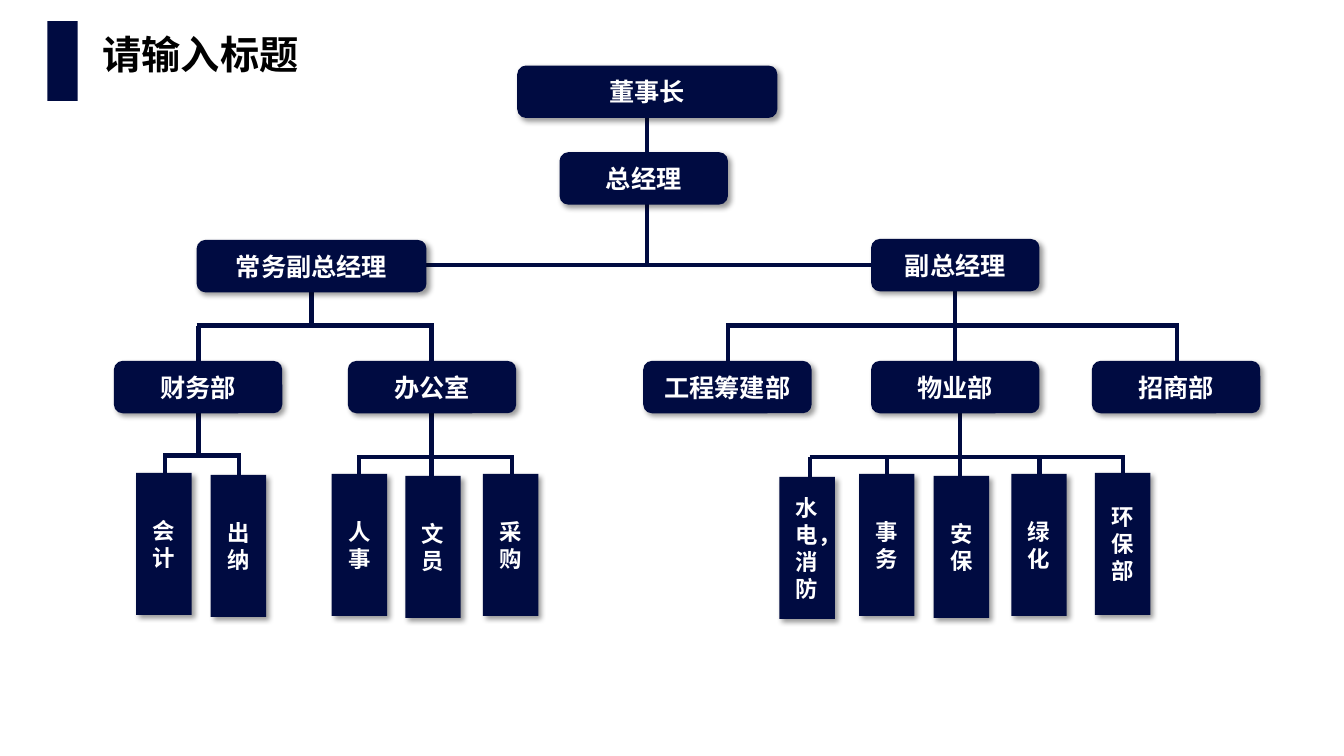
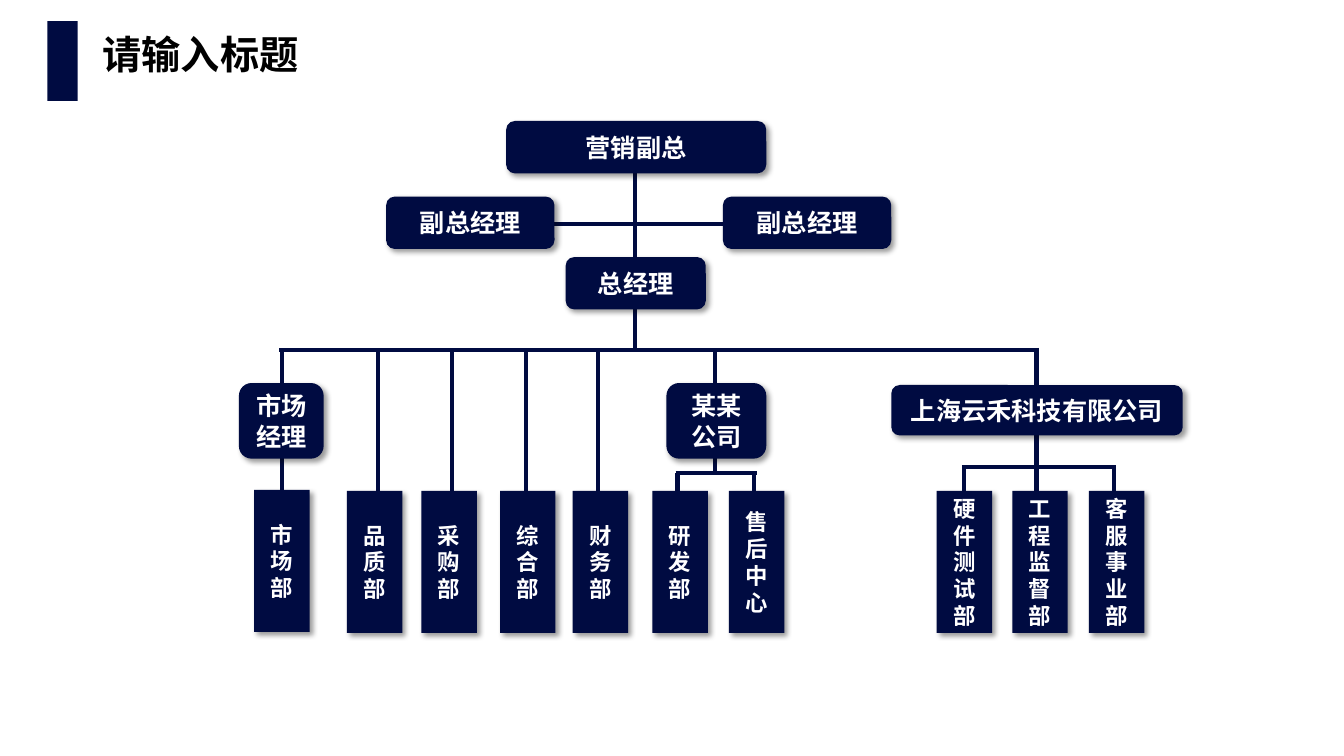
from dataclasses import dataclass

from lxml import etree
from pptx import Presentation
from pptx.dml.color import RGBColor
from pptx.enum.shapes import MSO_CONNECTOR, MSO_SHAPE
from pptx.enum.text import MSO_ANCHOR, PP_ALIGN
from pptx.oxml.ns import qn
from pptx.shapes.autoshape import Shape
from pptx.slide import Slide
from pptx.text.text import _Paragraph
from pptx.util import Inches, Pt

RECTANGLE = MSO_SHAPE.RECTANGLE
ROUNDED = MSO_SHAPE.ROUNDED_RECTANGLE
STRAIGHT = MSO_CONNECTOR.STRAIGHT
CENTER = PP_ALIGN.CENTER
MIDDLE = MSO_ANCHOR.MIDDLE

COLORS = {"navy": "000B41", "white": "FFFFFF", "black": "000000"}
FONT = "Noto Sans CJK SC"
TITLE = "请输入标题"
LINE_WIDTH = Pt(3)
RAIL_OVERHANG = 0.02
BAR_WIDTH, BAR_HEIGHT = 0.55, 1.41


@dataclass(frozen=True)
class Box:
    text: str
    left: float
    top: float
    width: float = 1.67
    height: float = 0.52


@dataclass(frozen=True)
class Bar:
    text: str
    left: float
    top: float = 4.87


@dataclass(frozen=True)
class Branch:
    stem: float
    top: float
    rail: float
    ends: tuple[float, float]
    drops: tuple[float, ...] = ()
    bottom: float = 0


@dataclass(frozen=True)
class Chart:
    branches: tuple[Branch, ...]
    boxes: tuple[Box, ...]
    bars: tuple[Bar, ...]


MANAGEMENT = Chart(
    branches=(
        Branch(6.42, 1.17, 2.63, (4.23, 8.64)),
        Branch(3.09, 2.9, 3.23, (1.97, 4.28), (1.97, 4.28), 3.58),
        Branch(9.47, 2.89, 3.23, (7.22, 11.67), (7.22, 9.47, 11.67), 3.58),
        Branch(1.97, 4.1, 4.52, (1.64, 2.37), (1.64, 2.37), 4.87),
        Branch(4.28, 4.1, 4.53, (3.56, 5.08), (3.56, 4.28, 5.08), 5.05),
        Branch(9.52, 4.1, 4.53, (8.05, 11.14),
               (8.03, 8.8, 9.52, 10.31, 11.14), 5.25),
    ),
    boxes=(
        Box("董事长", 5.13, 0.65, width=2.58),
        Box("总经理", 5.55, 1.51),
        Box("常务副总经理", 1.95, 2.38, width=2.28),
        Box("副总经理", 8.64, 2.37),
        Box("财务部", 1.13, 3.58),
        Box("办公室", 3.45, 3.58),
        Box("工程筹建部", 6.38, 3.58),
        Box("物业部", 8.64, 3.58),
        Box("招商部", 10.83, 3.58),
    ),
    bars=(
        Bar("会计", 1.35, 4.69),
        Bar("出纳", 2.09, 4.71),
        Bar("人事", 3.29, 4.7),
        Bar("文员", 4.02, 4.72),
        Bar("采购", 4.79, 4.7),
        Bar("水电，消防", 7.73, 4.73),
        Bar("事务", 8.52, 4.7),
        Bar("安保", 9.26, 4.72),
        Bar("绿化", 10.03, 4.7),
        Bar("环保部", 10.86, 4.69),
    ),
)

MARKETING = Chart(
    branches=(
        Branch(6.3, 1.72, 2.22, (5.5, 7.17)),
        Branch(6.3, 2.22, 3.47, (2.79, 10.28),
               (2.8, 3.75, 4.48, 5.22, 5.93), 5.18),
        Branch(7.09, 3.47, 4.69, (6.72, 7.49), (6.72, 7.48), 5.19),
        Branch(10.28, 3.45, 4.63, (9.56, 11.05), (9.56, 10.28, 11.05), 5.11),
    ),
    boxes=(
        Box("营销副总", 5.02, 1.2, width=2.58),
        Box("副总经理", 3.83, 1.95),
        Box("副总经理", 7.17, 1.95),
        Box("总经理", 5.61, 2.55, width=1.39),
        Box("市场经理", 2.37, 3.8, width=0.84, height=0.75),
        Box("某某公司", 6.61, 3.8, width=0.99, height=0.75),
        Box("上海云禾科技有限公司", 8.84, 3.82, width=2.89, height=0.5),
    ),
    bars=(
        Bar("市场部", 2.52, 4.86),
        Bar("品质部", 3.44),
        Bar("采购部", 4.18),
        Bar("综合部", 4.96),
        Bar("财务部", 5.68),
        Bar("研发部", 6.47),
        Bar("售后中心", 7.23),
        Bar("硬件测试部", 9.29),
        Bar("工程监督部", 10.04),
        Bar("客服事业部", 10.8),
    ),
)


def color(name: str) -> RGBColor:
    return RGBColor.from_string(COLORS[name])


def write(paragraph: _Paragraph, text: str, size: int, color_name: str) -> None:
    run = paragraph.add_run()
    run.text = text
    font = paragraph.font
    font.name = FONT
    font.size = Pt(size)
    font.bold = True
    font.color.rgb = color(color_name)
    properties = run._r.get_or_add_rPr()
    etree.SubElement(properties, qn("a:ea")).set("typeface", FONT)


def add_shadow(shape: Shape) -> None:
    effects = shape._element.spPr.find(qn("a:effectLst"))
    shadow = etree.SubElement(effects, qn("a:outerShdw"))
    shadow.set("blurRad", str(Pt(4)))
    shadow.set("dist", str(Pt(3)))
    shadow.set("dir", str(45 * 60000))
    shadow.set("algn", "tl")
    shadow.set("rotWithShape", "0")
    tint = etree.SubElement(shadow, qn("a:srgbClr"))
    tint.set("val", COLORS["black"])
    etree.SubElement(tint, qn("a:alpha")).set("val", "40000")


def add_block(slide: Slide, kind: MSO_SHAPE, left: float, top: float,
              width: float, height: float) -> Shape:
    shape = slide.shapes.add_shape(
        kind, Inches(left), Inches(top), Inches(width), Inches(height))
    shape.shadow.inherit = False
    shape.fill.solid()
    shape.fill.fore_color.rgb = color("navy")
    shape.line.fill.background()
    return shape


def add_label_block(slide: Slide, kind: MSO_SHAPE, box: Box, size: int) -> None:
    shape = add_block(slide, kind, box.left, box.top, box.width, box.height)
    add_shadow(shape)
    frame = shape.text_frame
    frame.word_wrap = True
    frame.vertical_anchor = MIDDLE
    paragraph = frame.paragraphs[0]
    paragraph.alignment = CENTER
    write(paragraph, box.text, size, "white")


def add_line(slide: Slide, x1: float, y1: float, x2: float, y2: float) -> None:
    connector = slide.shapes.add_connector(
        STRAIGHT, Inches(x1), Inches(y1), Inches(x2), Inches(y2))
    connector.line.color.rgb = color("navy")
    connector.line.width = LINE_WIDTH
    etree.SubElement(connector._element.spPr, qn("a:effectLst"))


def add_branch(slide: Slide, branch: Branch) -> None:
    left, right = branch.ends
    add_line(slide, branch.stem, branch.top, branch.stem, branch.rail)
    add_line(slide, left - RAIL_OVERHANG, branch.rail,
             right + RAIL_OVERHANG, branch.rail)
    for drop in branch.drops:
        add_line(slide, drop, branch.rail, drop, branch.bottom)


def add_header(slide: Slide) -> None:
    add_block(slide, RECTANGLE, 0.47, 0.21, 0.3, 0.79)
    title = slide.shapes.add_textbox(
        Inches(0.92), Inches(0.3), Inches(8.43), Inches(0.6))
    title.text_frame.word_wrap = True
    paragraph = title.text_frame.paragraphs[0]
    paragraph.line_spacing = 0.9
    write(paragraph, TITLE, 28, "black")


def add_chart_slide(presentation: Presentation, chart: Chart) -> None:
    slide = presentation.slides.add_slide(presentation.slide_layouts[6])
    add_header(slide)
    for branch in chart.branches:
        add_branch(slide, branch)
    for box in chart.boxes:
        add_label_block(slide, ROUNDED, box, 18)
    for bar in chart.bars:
        box = Box(bar.text, bar.left, bar.top, BAR_WIDTH, BAR_HEIGHT)
        add_label_block(slide, RECTANGLE, box, 16)


def main() -> None:
    presentation = Presentation()
    presentation.slide_width = Inches(13.33)
    presentation.slide_height = Inches(7.5)
    for chart in (MANAGEMENT, MARKETING):
        add_chart_slide(presentation, chart)
    presentation.save("out.pptx")


if __name__ == "__main__":
    main()
